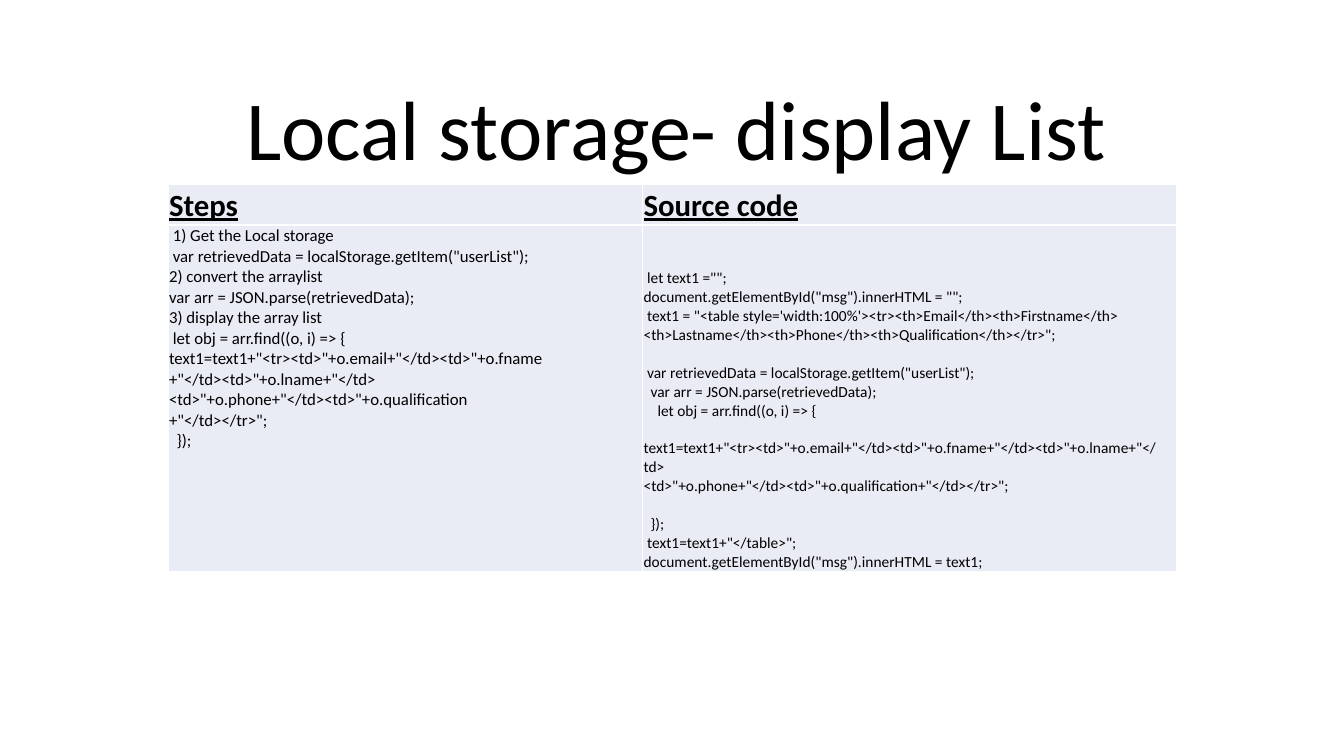
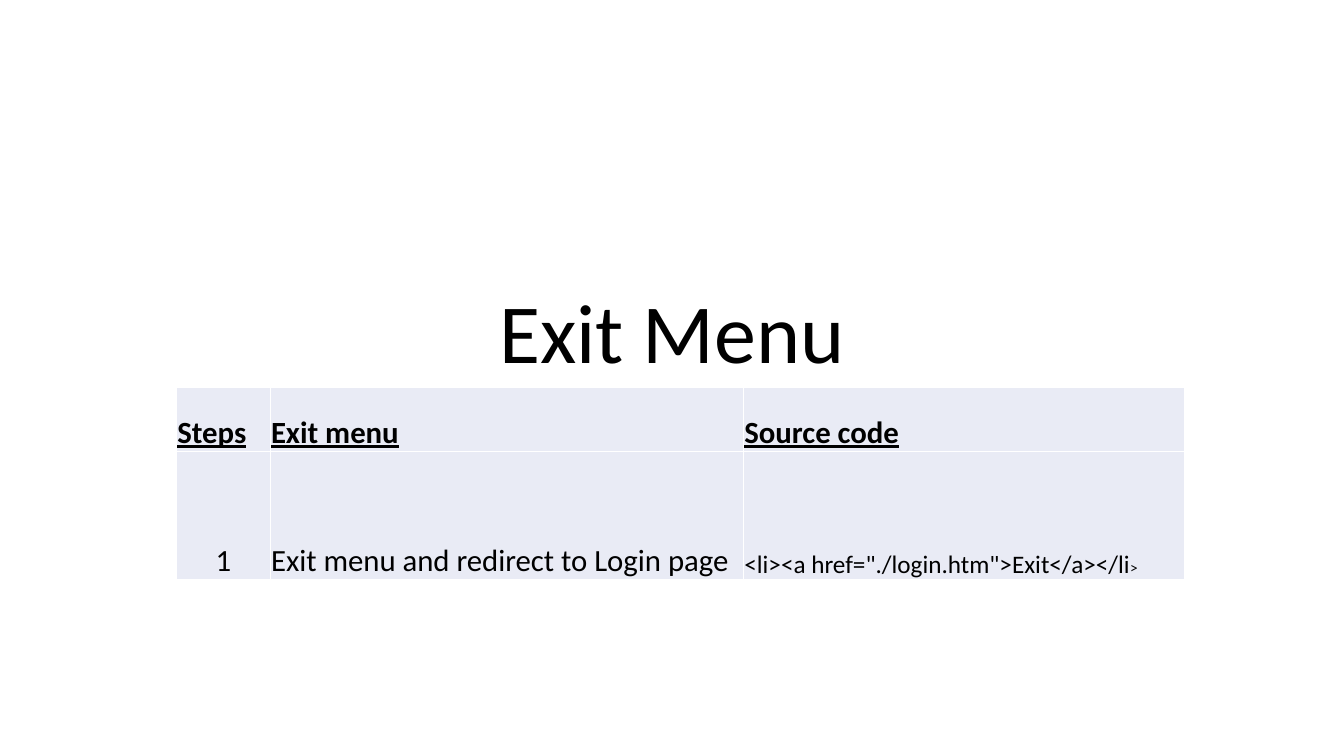
from dataclasses import dataclass

from lxml import etree
from pptx import Presentation
from pptx import util as u
from pptx.dml import color
from pptx.enum import text
from pptx.oxml import ns


@dataclass(frozen=True)
class Theme:
    font: str = "Calibri"
    ink: str = "000000"
    cell_fill: str = "E9EBF5"
    border: str = "FFFFFF"
    border_width: int = 1
    title_size: int = 60
    table_size: int = 22
    markup_size: int = 18
    steps_size: int = 12
    code_size: int = 11
    space_width: float = 0.226  # share of the type size
    line_height: float = 1.22


THEME = Theme()


@dataclass
class Cell:
    """Wording and type of one table cell."""
    wording: str
    size: int = THEME.table_size
    heading: bool = False
    align: text.PP_ALIGN = text.PP_ALIGN.LEFT
    anchor: text.MSO_ANCHOR = text.MSO_ANCHOR.BOTTOM
    small_ending: str = ""


class Deck:
    def __init__(self, theme):
        self.theme = theme
        self.presentation = Presentation()
        self.presentation.slide_width = u.Cm(33.87)
        self.presentation.slide_height = u.Cm(19.05)
        self.slide = None

    def add_slide(self):
        blank = self.presentation.slide_layouts[6]
        self.slide = self.presentation.slides.add_slide(blank)

    def style_font(self, font, size, heading=False):
        font.name = self.theme.font
        font.size = u.Pt(size)
        font.bold = font.underline = heading
        font.color.rgb = color.RGBColor.from_string(self.theme.ink)

    def add_title(self, wording, left, top, width, height):
        shape = self.slide.shapes.add_textbox(*map(u.Cm, (left, top, width, height)))
        frame = shape.text_frame
        frame.word_wrap = True
        frame.vertical_anchor = text.MSO_ANCHOR.BOTTOM
        paragraph = frame.paragraphs[0]
        paragraph.text = wording
        paragraph.alignment = text.PP_ALIGN.CENTER
        paragraph.line_spacing = 0.9
        self.style_font(paragraph.font, self.theme.title_size)

    def add_table(self, left, top, widths, heights, rows):
        frame = self.slide.shapes.add_table(
            len(heights), len(widths), u.Cm(left), u.Cm(top),
            u.Cm(sum(widths)), u.Cm(sum(heights)))
        table = frame.table
        table.first_row = table.horz_banding = False
        for column, width in zip(table.columns, widths):
            column.width = u.Cm(width)
        for row, height, contents in zip(table.rows, heights, rows):
            row.height = u.Cm(height)
            for cell, content in zip(row.cells, contents):
                self.fill_cell(cell, content)

    def fill_cell(self, cell, content):
        cell.margin_left = cell.margin_right = cell.margin_top = u.Cm(0.02)
        cell.margin_bottom = 0
        cell.vertical_anchor = content.anchor
        self.add_borders(cell)
        cell.fill.solid()
        cell.fill.fore_color.rgb = color.RGBColor.from_string(self.theme.cell_fill)
        self.write_lines(cell.text_frame, content)

    def add_borders(self, cell):
        properties = cell._tc.get_or_add_tcPr()
        for side in ("lnL", "lnR", "lnT", "lnB"):
            line = etree.SubElement(properties, ns.qn(f"a:{side}"),
                                    w=str(u.Pt(self.theme.border_width)))
            fill = etree.SubElement(line, ns.qn("a:solidFill"))
            etree.SubElement(fill, ns.qn("a:srgbClr"), val=self.theme.border)

    def write_lines(self, frame, content):
        """Turn blank lines into paragraph spacing and leading spaces into indents."""
        paragraph = frame.paragraphs[0]
        gap = 0
        for number, line in enumerate(content.wording.splitlines()):
            words = line.lstrip()
            if not words:
                gap += content.size * self.theme.line_height
                continue
            if number:
                paragraph = frame.add_paragraph()
            paragraph.text = words
            paragraph.alignment = content.align
            paragraph.space_before = u.Pt(gap)
            indent = (len(line) - len(words)) * content.size * self.theme.space_width
            paragraph._p.get_or_add_pPr().set("marL", str(u.Pt(indent)))
            self.style_font(paragraph.font, content.size, content.heading)
            gap = 0
        if content.small_ending:
            run = paragraph.add_run()
            run.text = content.small_ending
            run.font.size = u.Pt(self.theme.code_size)


DISPLAY_STEPS = """ 1) Get the Local storage
 var retrievedData = localStorage.getItem("userList");
2) convert the arraylist
var arr = JSON.parse(retrievedData);
3) display the array list
 let obj = arr.find((o, i) => {
text1=text1+"<tr><td>"+o.email+"</td><td>"+o.fname
+"</td><td>"+o.lname+"</td>
<td>"+o.phone+"</td><td>"+o.qualification
+"</td></tr>";
  });"""

DISPLAY_CODE = """ let text1 ="";
document.getElementById("msg").innerHTML = "";
 text1 = "<table style='width:100%'><tr><th>Email</th><th>Firstname</th>
<th>Lastname</th><th>Phone</th><th>Qualification</th></tr>";

 var retrievedData = localStorage.getItem("userList");
  var arr = JSON.parse(retrievedData);
    let obj = arr.find((o, i) => {

text1=text1+"<tr><td>"+o.email+"</td><td>"+o.fname+"</td><td>"+o.lname+"</td>
<td>"+o.phone+"</td><td>"+o.qualification+"</td></tr>";

  });
 text1=text1+"</table>";
document.getElementById("msg").innerHTML = text1;"""


def headings(*names):
    return [Cell(name, heading=True) for name in names]


def main():
    deck = Deck(THEME)

    # Displaying the stored list
    deck.add_slide()
    deck.add_title("Local storage- display List", 4.45, 1.96, 25.17, 2.67)
    deck.add_table(4.24, 4.65, (11.96, 13.44), (1.02, 8.74), [
        headings("Steps", "Source code"),
        [Cell(DISPLAY_STEPS, THEME.steps_size, anchor=text.MSO_ANCHOR.TOP),
         Cell(DISPLAY_CODE, THEME.code_size)],
    ])

    # Exit menu
    deck.add_slide()
    deck.add_title("Exit Menu", 4.24, 3.12, 25.4, 6.63)
    deck.add_table(4.45, 9.75, (2.36, 11.93, 11.11), (1.63, 3.23), [
        headings("Steps", "Exit menu", "Source code"),
        [Cell("1", align=text.PP_ALIGN.CENTER),
         Cell("Exit menu and redirect to Login page"),
         Cell('<li><a href="./login.htm">Exit</a></li', THEME.markup_size,
              small_ending=">")],
    ])

    deck.presentation.save("out.pptx")


if __name__ == "__main__":
    main()
